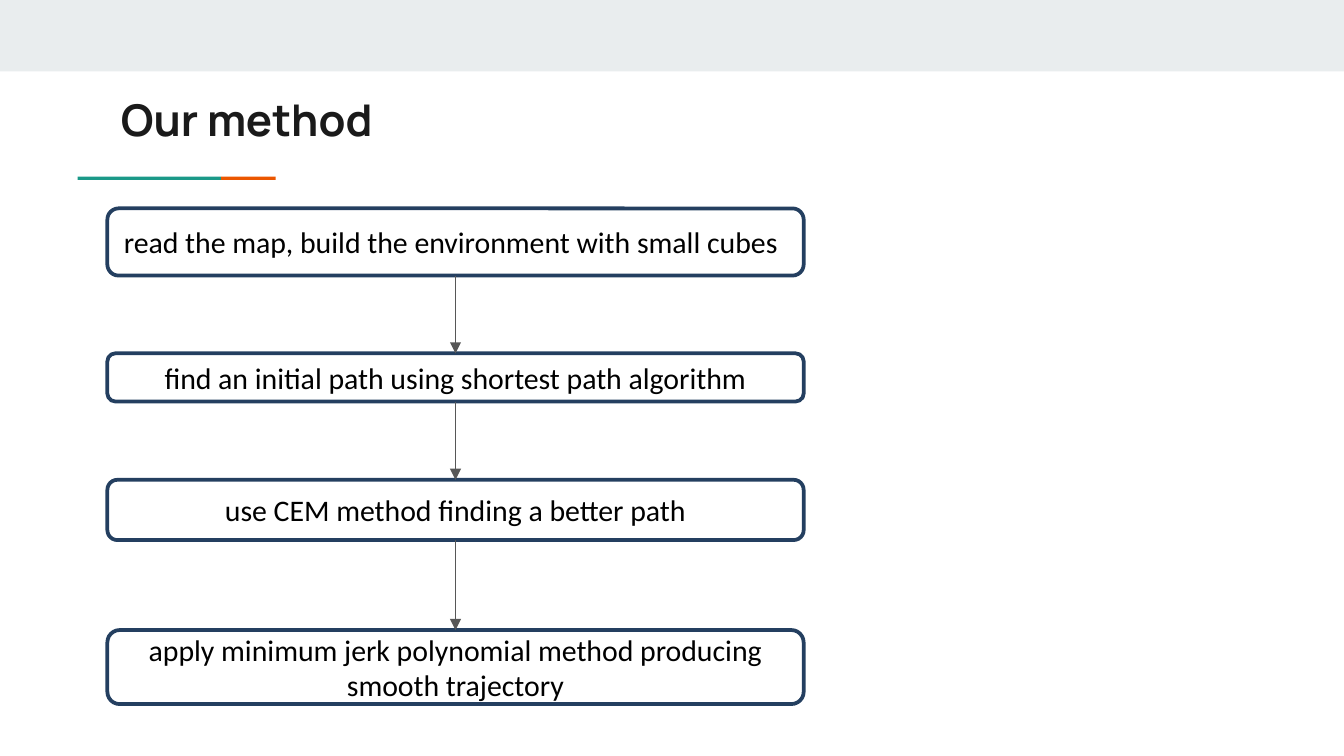
from itertools import pairwise

from lxml.etree import SubElement
from pptx import Presentation
from pptx.dml.color import RGBColor
from pptx.enum.shapes import MSO_CONNECTOR as Connector, MSO_SHAPE as Shape
from pptx.enum.text import MSO_ANCHOR as Anchor, MSO_AUTO_SIZE as AutoSize, PP_ALIGN as Align
from pptx.oxml.ns import qn
from pptx.util import Cm, Pt

# Content: text, top and height in cm, alignment
TITLE = "Our method"
STEPS = [
    ("read the map, build the environment with small cubes", 3.94, 1.27, Align.LEFT),
    ("find an initial path using shortest path algorithm", 6.68, 0.91, Align.CENTER),
    ("use CEM method finding a better path", 9.07, 1.14, Align.CENTER),
    ("apply minimum jerk polynomial method producing smooth trajectory", 11.91, 1.4, Align.CENTER),
]

# Layout in cm
SLIDE_WIDTH, SLIDE_HEIGHT = 25.4, 14.29
STEP_LEFT, STEP_WIDTH = 2.03, 13.16
BAND_HEIGHT = 1.35
RULE_TOP, RULE_HEIGHT = 3.34, 0.06
RULE_PARTS = [(1.47, 2.71, "1A9988"), (4.18, 1.03, "EB5600")]  # left, width, colour


def color(hex_code):
    return RGBColor.from_string(hex_code)


def place(left, top, width, height):
    return Cm(left), Cm(top), Cm(width), Cm(height)


def write(shape, text, font_name, size, hex_code, align, bold=False):
    frame = shape.text_frame
    frame.text = text
    frame.word_wrap = True
    frame.vertical_anchor = Anchor.MIDDLE
    paragraph = frame.paragraphs[0]
    paragraph.alignment = align
    font = paragraph.runs[0].font
    font.name, font.size, font.bold = font_name, Pt(size), bold
    font.color.rgb = color(hex_code)


def add_bar(shapes, left, top, width, height, hex_code):
    bar = shapes.add_shape(Shape.RECTANGLE, *place(left, top, width, height))
    bar.shadow.inherit = False
    bar.fill.solid()
    bar.fill.fore_color.rgb = color(hex_code)
    bar.line.fill.background()


def add_step(shapes, text, top, height, align):
    box = shapes.add_shape(Shape.ROUNDED_RECTANGLE, *place(STEP_LEFT, top, STEP_WIDTH, height))
    box.shadow.inherit = False
    box.fill.background()
    box.line.color.rgb = color("243F60")
    box.line.width = Pt(2)
    write(box, text, "Calibri", 16, "000000", align)
    return box


def add_arrow(shapes, upper, lower):
    arrow = shapes.add_connector(Connector.STRAIGHT, 0, 0, 0, 0)
    arrow.begin_connect(upper, 2)
    arrow.end_connect(lower, 0)
    arrow.line.color.rgb = color("575757")
    arrow.line.width = Pt(0.75)
    properties = arrow._element.spPr
    SubElement(properties.find(qn("a:ln")), qn("a:tailEnd"), type="triangle")
    SubElement(properties, qn("a:effectLst"))


presentation = Presentation()
presentation.slide_width = Cm(SLIDE_WIDTH)
presentation.slide_height = Cm(SLIDE_HEIGHT)
slide = presentation.slides.add_slide(presentation.slide_layouts[5])
shapes = slide.shapes

# Top band and two-colour rule
add_bar(shapes, 0, 0, SLIDE_WIDTH, BAND_HEIGHT, "E9EDEE")
for left, width, hex_code in RULE_PARTS:
    add_bar(shapes, left, RULE_TOP, width, RULE_HEIGHT, hex_code)

# Title
title = shapes.title
title.left, title.top, title.width, title.height = place(STEP_LEFT, 1.5, 21.36, 1.5)
write(title, TITLE, "Manrope", 23.4, "1A1A1A", Align.LEFT, bold=True)
title.text_frame.auto_size = AutoSize.NONE

# Steps, each joined to the next
boxes = [add_step(shapes, *step) for step in STEPS]
for upper, lower in pairwise(boxes):
    add_arrow(shapes, upper, lower)

presentation.save("out.pptx")
